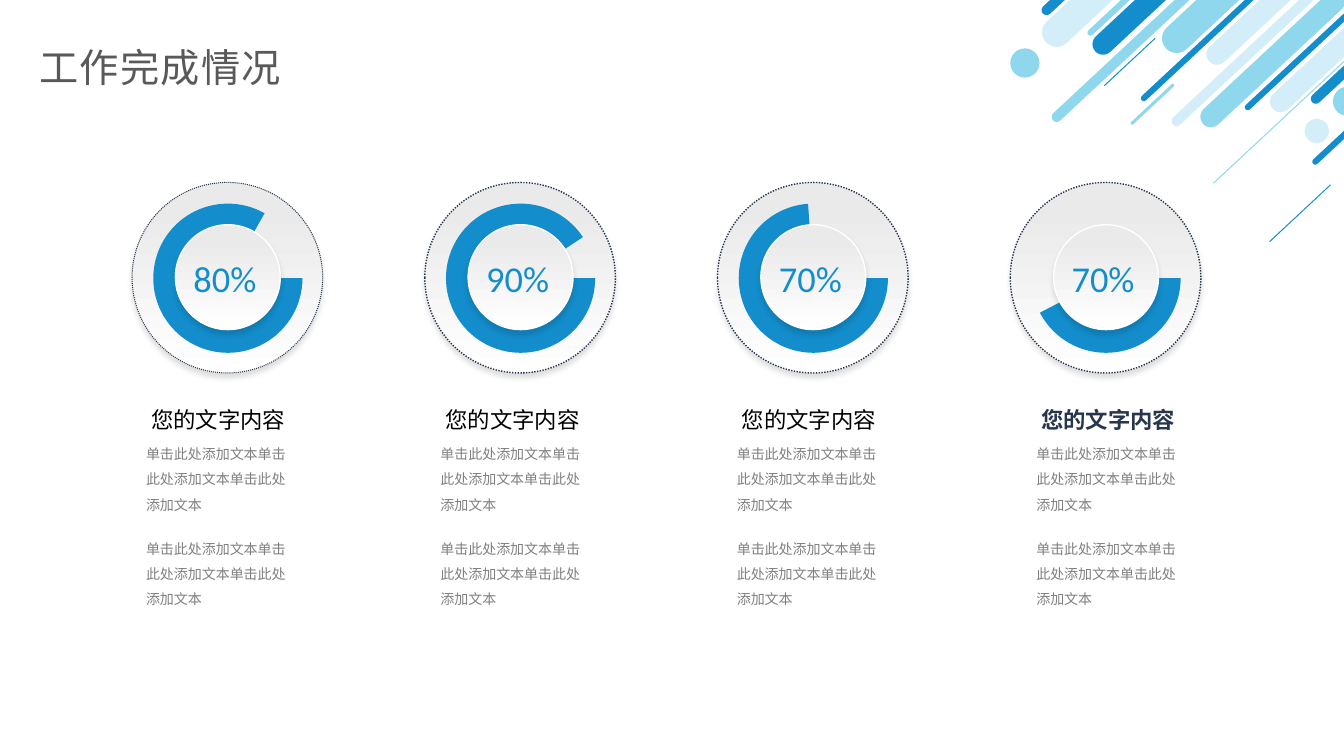
from dataclasses import dataclass
from lxml.etree import SubElement
from pptx import Presentation
from pptx.dml.color import RGBColor
from pptx.enum.dml import MSO_LINE
from pptx.enum.shapes import MSO_SHAPE
from pptx.enum.text import MSO_AUTO_SIZE
from pptx.oxml.ns import qn
from pptx.util import Inches, Pt


@dataclass(frozen=True)
class Theme:
    blue: str = "138DCC"
    sky: str = "8FD7ED"
    pale: str = "D3EEF9"
    navy: str = "27364C"
    black: str = "000000"
    white: str = "FFFFFF"
    silver: str = "EAEAEA"
    gray: str = "808080"
    dark: str = "595959"
    latin: str = "Calibri"
    han: str = "Noto Sans CJK SC"
    title: int = 28
    value: int = 26
    head: int = 16
    body: int = 10


def rgb(code):
    return RGBColor.from_string(code)


def write(frame, text, size, color, font, bold=False, lead=None, gap=0, track=0):
    """Put text in a frame, one paragraph for each line."""
    for i, line in enumerate(text.split("\n")):
        para = frame.paragraphs[0] if i == 0 else frame.add_paragraph()
        if lead:
            para.line_spacing = Pt(lead)
        if i and gap:
            para.space_before = Pt(gap)
        run = para.add_run()
        run.text = line
        run.font.size = Pt(size)
        run.font.name = font
        run.font.bold = bold
        run.font.color.rgb = rgb(color)
        props = run.font._element
        SubElement(props, qn("a:ea"), typeface=font)
        if track:
            props.set("spc", str(track * 100))


class Deck:
    def __init__(self, theme):
        self.theme = theme
        self.show = Presentation()
        self.show.slide_width = Inches(13.33)
        self.show.slide_height = Inches(7.5)
        self.slide = self.show.slides.add_slide(self.show.slide_layouts[6])
        self.shapes = self.slide.shapes

    def group(self):
        """Send the shapes that follow to a new group."""
        self.shapes = self.slide.shapes.add_group_shape().shapes

    def ungroup(self):
        self.shapes = self.slide.shapes

    def solid(self, kind, x, y, w, h, color):
        shape = self.shapes.add_shape(kind, Inches(x), Inches(y), Inches(w), Inches(h))
        shape.shadow.inherit = False
        shape.fill.solid()
        shape.fill.fore_color.rgb = rgb(color)
        shape.line.fill.background()
        return shape

    def bar(self, x, y, w, h, color):
        shape = self.solid(MSO_SHAPE.ROUNDED_RECTANGLE, x, y, w, h, color)
        shape.adjustments[0] = 0.5
        shape.rotation = 317

    def dot(self, x, y, size, color):
        self.solid(MSO_SHAPE.OVAL, x, y, size, size, color)

    def disc(self, x, y, size, color, width, dash=None):
        """Shaded circle with an outline and a soft shadow."""
        shape = self.solid(MSO_SHAPE.OVAL, x, y, size, size, self.theme.white)
        shape.fill.gradient()
        shape.fill.gradient_angle = 270
        stops = zip(shape.fill.gradient_stops, (0.14, 1),
                    (self.theme.silver, self.theme.white))
        for stop, place, tone in stops:
            stop.position = place
            stop.color.rgb = rgb(tone)
        shape.line.color.rgb = rgb(color)
        shape.line.width = Pt(width)
        if dash:
            shape.line.dash_style = dash
        effects = shape._element.spPr.find(qn("a:effectLst"))
        shadow = SubElement(effects, qn("a:outerShdw"), blurRad=str(Pt(4)),
                            dist=str(Pt(3)), dir="5400000", algn="t", rotWithShape="0")
        tint = SubElement(shadow, qn("a:srgbClr"), val=self.theme.black)
        SubElement(tint, qn("a:alpha"), val="13000")

    def pie(self, x, y, size, angle):
        shape = self.solid(MSO_SHAPE.PIE, x, y, size, size, self.theme.blue)
        shape.adjustments[0] = 0
        shape.adjustments[1] = angle * 0.6  # 60000 units a degree, scaled by 100000

    def text(self, x, y, w, h, text, wrap=True, grow=True, **style):
        box = self.shapes.add_textbox(Inches(x), Inches(y), Inches(w), Inches(h))
        frame = box.text_frame
        frame.word_wrap = wrap
        frame.auto_size = MSO_AUTO_SIZE.SHAPE_TO_FIT_TEXT if grow else MSO_AUTO_SIZE.NONE
        write(frame, text, **style)

    def gauge(self, x, y, value, angle, width):
        look = self.theme
        self.group()
        self.disc(x, y, 1.89, look.navy, width, MSO_LINE.ROUND_DOT)
        self.pie(x + 0.21, y + 0.21, 1.48, angle)
        self.disc(x + 0.43, y + 0.42, 1.04, look.white, 1)
        self.text(x + 0.51, y + 0.68, 0.91, 0.54, value, wrap=False,
                  size=look.value, color=look.blue, font=look.latin)

    def note(self, x, y, head, body, color, bold):
        look = self.theme
        self.group()
        self.text(x, y + 0.32, 1.62, 0.88, body, grow=False, size=look.body,
                  color=look.gray, font=look.han, lead=18, gap=13.3)
        self.text(x + 0.05, y, 1.53, 0.37, head, wrap=False, size=look.head,
                  color=color, font=look.han, bold=bold, lead=20)


def main():
    look = Theme()
    deck = Deck(look)

    # Corner rain: slanted bars and dots
    bars = [
        (10.12, -0.37, 1.89, 0.29, look.pale), (10.54, -0.33, 1.89, 0.06, look.sky),
        (10.61, -0.24, 1.89, 0.21, look.blue), (10.19, 0.5, 1.89, 0.1, look.sky),
        (11.31, -0.31, 1.89, 0.29, look.sky), (11.07, 0.32, 1.89, 0.06, look.blue),
        (11.74, -0.14, 1.89, 0.21, look.pale), (11.38, 0.54, 1.89, 0.1, look.pale),
        (11.68, 0.48, 1.89, 0.21, look.sky), (12.1, 0.41, 1.89, 0.06, look.blue),
        (12.37, 0.33, 1.89, 0.21, look.pale), (12.76, 0.32, 1.89, 0.1, look.blue),
        (10.09, -0.56, 1.89, 0.1, look.blue), (12.77, 0.95, 1.89, 0.06, look.blue),
        (11.78, 1.17, 1.89, 0.01, look.sky), (12.48, 2.11, 0.83, 0.01, look.blue),
        (11.14, 1.02, 0.58, 0.03, look.sky), (10.86, 0.61, 0.69, 0.01, look.blue),
    ]
    dots = [(12.94, 1.18, 0.24, look.pale), (13.22, 0.86, 0.29, look.sky),
            (10.02, 0.48, 0.29, look.sky)]
    deck.group()
    for bar in bars:
        deck.bar(*bar)
    for dot in dots:
        deck.dot(*dot)

    # Gauges: label, end angle of the ring, outline width
    gauges = [("80%", 299.47, 0.75), ("90%", 326.6, 1),
              ("70%", 265.94, 1), ("70%", 152.43, 1)]
    for i, (value, angle, width) in enumerate(gauges):
        deck.gauge(1.31 + i * 8.71 / 3, 1.81, value, angle, width)

    # Notes under the gauges, the last one stressed
    line = "单击此处添加文本" * 3
    for x in (1.35, 4.27, 7.21, 10.18):
        last = x == 10.18
        deck.note(x, 3.97, "您的文字内容", f"{line}\n{line}",
                  look.navy if last else look.black, last)

    # Title
    deck.ungroup()
    deck.text(0.29, 0.35, 13.04, 0.57, "工作完成情况", size=look.title,
              color=look.dark, font=look.han, lead=36, track=1)

    deck.show.save("out.pptx")


if __name__ == "__main__":
    main()
